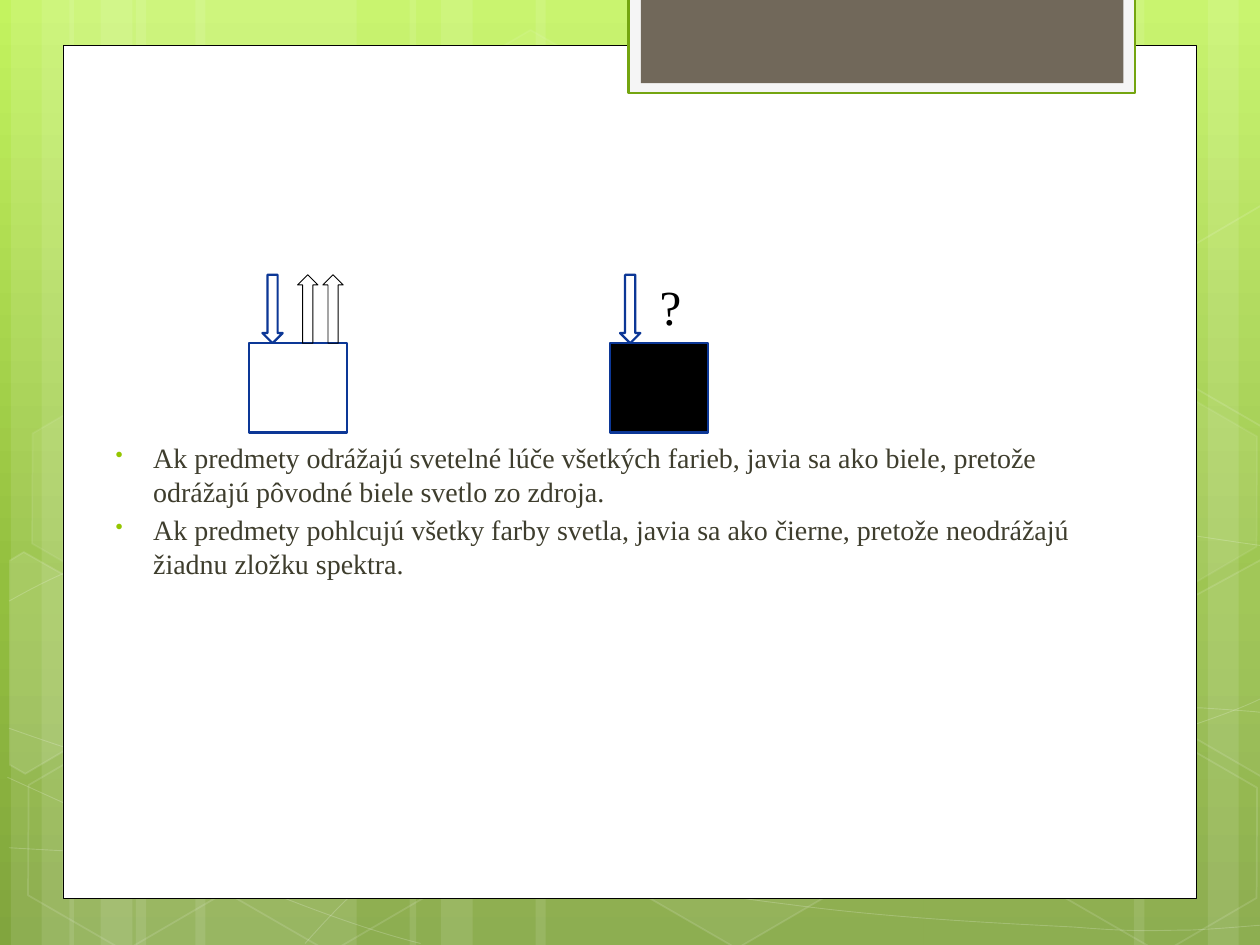
from copy import deepcopy
from typing import NamedTuple, Optional

from lxml.etree import SubElement
from pptx import Presentation
from pptx.dml.color import RGBColor
from pptx.enum.shapes import MSO_SHAPE as Preset
from pptx.oxml.ns import qn
from pptx.util import Cm, Pt

WHITE, BLACK, BLUE = "FFFFFF", "000000", "0C3796"
FONT = "Times New Roman"
SLIDE_WIDTH, SLIDE_HEIGHT = 25.4, 19.05


class Box(NamedTuple):
    left: float
    top: float
    width: float
    height: float

    def lengths(self) -> list:
        return [Cm(value) for value in self]


class Style(NamedTuple):
    """Fill and line colours, with opacity in percent."""
    fill: Optional[str] = None
    line: Optional[str] = None
    weight: float = 1
    fill_opacity: int = 100
    line_opacity: int = 100


class Hexagon(NamedTuple):
    left: float
    top: float
    fill_opacity: int
    line_opacity: int


# left, width
STRIPES = [(2.74, 4.45), (0.22, 1.27), (0.84, 2.11), (3.94, 4.45), (1.4, 1.27), (2.03, 2.11),
           (18.62, 4.45), (24.35, 1.27), (22.86, 2.11), (10.8, 7.82), (8.26, 1.27), (8.89, 2.11)]

# Start point, then two control points and an end point for every Bezier segment
CURVES = [
    [(0.18, 17.09), (1.55, 17.17), (2.92, 17.25), (4.83, 17.22), (6.73, 17.2), (9.09, 17.15),
     (11.63, 16.89), (14.17, 16.64), (17.78, 16.15), (20.12, 15.67), (22.43, 15.19),
     (24.82, 14.43), (25.58, 14)],
    [(0.18, 12.12), (0.91, 11.71), (1.65, 11.33), (3.07, 10.95), (4.52, 10.57), (6.58, 10.01),
     (8.81, 9.83), (11.07, 9.65), (13.82, 9.63), (16.61, 9.83), (19.41, 10.03),
     (24.05, 10.82), (25.58, 11.02)],
    [(0.15, 15.67), (3.23, 17.07), (6.27, 18.47), (8.48, 19.02)],
    [(0.18, 14.68), (0.97, 14.96), (1.78, 15.24), (3.25, 15.65), (4.72, 16.03), (6.93, 16.66),
     (9.07, 17.09), (11.18, 17.53), (13.84, 17.98), (15.95, 18.24), (18.06, 18.52),
     (20.32, 18.62), (21.67, 18.69), (22.99, 18.8), (23.34, 18.75), (24, 18.75),
     (24.66, 18.72), (25.12, 18.67), (25.58, 18.64)],
    [(6.15, 19.02), (6.6, 18.52), (7.06, 18.01), (7.67, 17.55), (8.28, 17.09), (9.14, 16.59),
     (9.86, 16.23), (10.57, 15.88), (11, 15.72), (11.94, 15.47), (12.85, 15.21),
     (14.55, 14.86), (15.44, 14.68), (16.36, 14.5), (16.48, 14.5), (17.27, 14.45),
     (18.06, 14.38), (19.3, 14.3), (20.17, 14.27), (21.06, 14.25), (22.5, 14.27),
     (22.5, 14.27), (22.5, 14.27), (24.21, 14.27), (24.21, 14.27), (24.66, 14.3),
     (25.1, 14.33), (25.32, 14.35), (25.55, 14.38), (25.48, 14.35), (25.55, 14.38)],
]

HEXAGONS = [Hexagon(8.48, 0.91, 4, 8), Hexagon(12.62, 14.96, 6, 12), Hexagon(0.28, 15.01, 0, 12),
            Hexagon(0.36, 7.92, 7, 8), Hexagon(4.42, 15.04, 0, 12), Hexagon(19.13, 11.51, 10, 12),
            Hexagon(21.18, 15.06, 0, 12), Hexagon(21.18, 7.98, 7, 8)]

# Fill opacity, corner points
CUT_HEXAGONS = [
    (10, [(0.2, 11.3), (0.48, 11.13), (2.44, 12.24), (2.41, 14.48), (0.51, 15.6), (0.2, 15.42)]),
    (4, [(23.52, 12.32), (25.43, 11.28), (25.63, 11.33), (25.63, 15.57), (25.45, 15.67),
         (23.52, 14.55)]),
    (0, [(23.52, 5.26), (25.43, 4.14), (25.65, 4.27), (25.63, 8.51), (25.45, 8.61),
         (23.52, 7.49)]),
]

STATEMENTS = [
    "Ak predmety odrážajú svetelné lúče všetkých farieb, javia sa ako biele, "
    "pretože odrážajú pôvodné biele svetlo zo zdroja.",
    "Ak predmety pohlcujú všetky farby svetla, javia sa ako čierne, "
    "pretože neodrážajú žiadnu zložku spektra.",
]


def colour(value: str) -> RGBColor:
    return RGBColor.from_string(value)


def apply_format(target, values: dict) -> None:
    for name, value in values.items():
        setattr(target, name, value)


def paint(fill, value: Optional[str], opacity: int, parent) -> None:
    """Colour a fill, whose solidFill element is a child of parent."""
    if value is None or opacity == 0:
        fill.background()
        return
    fill.solid()
    fill.fore_color.rgb = colour(value)
    if opacity < 100:
        solid = parent.find(qn("a:solidFill"))
        SubElement(solid[0], qn("a:alpha")).set("val", str(opacity * 1000))


def apply_style(shape, style: Style) -> None:
    shape.shadow.inherit = False
    properties = shape.element.spPr
    paint(shape.fill, style.fill, style.fill_opacity, properties)
    line_fill = shape.line.fill
    if style.line:
        shape.line.width = Pt(style.weight)
    paint(line_fill, style.line, style.line_opacity, properties.find(qn("a:ln")))


def add_preset(slide, preset: Preset, box: Box, style: Style):
    shape = slide.shapes.add_shape(preset, *box.lengths())
    apply_style(shape, style)
    return shape


def add_outline(slide, points: list, style: Style, close: bool):
    start, *others = [(Cm(x), Cm(y)) for x, y in points]
    builder = slide.shapes.build_freeform(*start)
    builder.add_line_segments(others, close=close)
    shape = builder.convert_to_shape()
    apply_style(shape, style)
    return shape


def add_curve(slide, points: list, style: Style) -> None:
    """Draw chained cubic Bezier segments."""
    shape = add_outline(slide, points, style, close=False)
    path = next(shape.element.iter(qn("a:path")))
    lines = path.findall(qn("a:lnTo"))
    for first in range(0, len(lines), 3):
        segment = SubElement(path, qn("a:cubicBezTo"))
        for line in lines[first:first + 3]:
            segment.append(line[0])
            path.remove(line)


def add_background(slide) -> None:
    fill = slide.background.fill
    fill.gradient()
    fill.gradient_angle = 270
    stop_list = next(slide.element.iter(qn("a:gsLst")))
    stop_list.append(deepcopy(stop_list[0]))
    stops = [(0, "C3F35F"), (0.62, "93BF3F"), (1, "81A53E")]
    for stop, (position, value) in zip(fill.gradient_stops, stops):
        stop.position = position
        stop.color.rgb = colour(value)


def add_decoration(slide) -> None:
    for left, width in STRIPES:
        add_preset(slide, Preset.RECTANGLE, Box(left, 0, width, SLIDE_HEIGHT),
                   Style(WHITE, fill_opacity=10))
    for curve in CURVES:
        add_curve(slide, curve, Style(None, WHITE, 0.5, line_opacity=20))
    for item in HEXAGONS:
        hexagon = add_preset(slide, Preset.HEXAGON, Box(item.left, item.top, 4.45, 3.86),
                             Style(WHITE, WHITE, 1, item.fill_opacity, item.line_opacity))
        hexagon.adjustments[0] = 0.285
        hexagon.rotation = 30
    for opacity, corners in CUT_HEXAGONS:
        add_outline(slide, corners, Style(WHITE, WHITE, 1, opacity, 12), close=True)
    for box, style in [(Box(1.27, 0.91, 22.86, 17.2), Style(WHITE, BLACK, 0.5)),
                       (Box(12.67, -0.05, 10.21, 1.93), Style("F5F5F5", "74A510", 1.25)),
                       (Box(12.92, -0.05, 9.73, 1.73), Style("71685A"))]:
        add_preset(slide, Preset.RECTANGLE, box, style)


def add_text(slide, box: Box, texts: list, size: int, value: str, top_margin: float) -> list:
    frame = slide.shapes.add_textbox(*box.lengths()).text_frame
    apply_format(frame, {"word_wrap": True, "margin_top": Cm(top_margin)})
    frame.text = "\n".join(texts)
    for paragraph in frame.paragraphs:
        font = paragraph.runs[0].font
        apply_format(font, {"name": FONT, "size": Pt(size)})
        font.color.rgb = colour(value)
    return list(frame.paragraphs)


def add_bullet(paragraph) -> None:
    properties = paragraph._p.get_or_add_pPr()
    for name, length in {"marL": Cm(0.96), "indent": Cm(-0.76)}.items():
        properties.set(name, str(length))
    SubElement(SubElement(properties, qn("a:buClr")), qn("a:srgbClr")).set("val", "94C600")
    SubElement(properties, qn("a:buSzPct")).set("val", "76000")
    SubElement(properties, qn("a:buChar")).set("char", "•")


def add_experiment(slide) -> None:
    """Light falling on a white square and on a black one."""
    for square_left, arrow_left, fill in [(5.02, 5.29, WHITE), (12.29, 12.5, BLACK)]:
        add_preset(slide, Preset.RECTANGLE, Box(square_left, 6.92, 1.98, 1.8),
                   Style(fill, BLUE, 1.25))
        add_preset(slide, Preset.DOWN_ARROW, Box(arrow_left, 5.54, 0.41, 1.38),
                   Style(None, BLUE, 1.25))
    for left in (6, 6.51):
        add_preset(slide, Preset.UP_ARROW, Box(left, 5.54, 0.41, 1.38), Style(None, BLACK, 0.5))
    add_text(slide, Box(13.05, 5.45, 0.61, 1.45), ["?"], 28, BLACK, 0.13)


def main() -> None:
    presentation = Presentation()
    apply_format(presentation, {"slide_width": Cm(SLIDE_WIDTH), "slide_height": Cm(SLIDE_HEIGHT)})
    slide = presentation.slides.add_slide(presentation.slide_layouts[6])
    add_background(slide)
    add_decoration(slide)
    paragraphs = add_text(slide, Box(1.88, 4.01, 20.22, 12.5), STATEMENTS, 16, "3E3D2D", 4.87)
    for index, paragraph in enumerate(paragraphs):
        add_bullet(paragraph)
        paragraph.space_before = Pt(3 if index else 0)
    add_experiment(slide)
    presentation.save("out.pptx")


if __name__ == "__main__":
    main()
